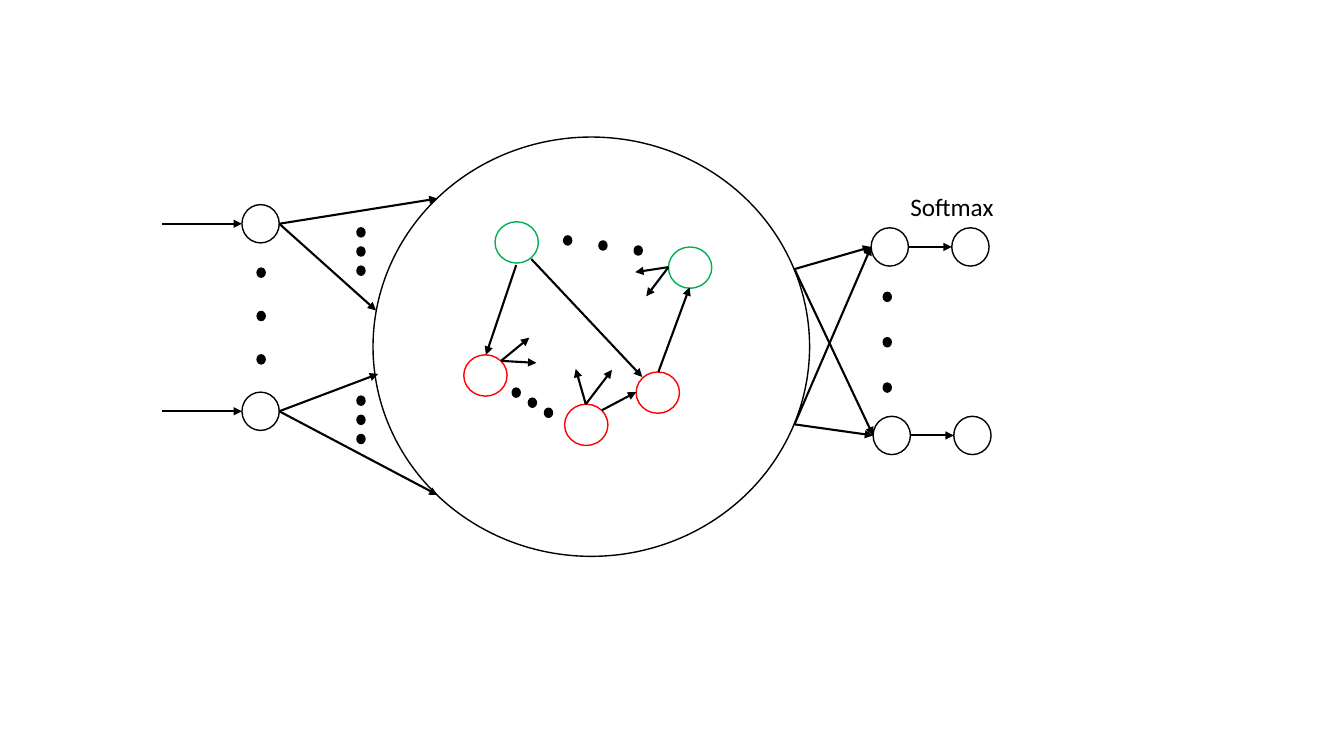
from lxml import etree
from pptx import Presentation
from pptx.dml.color import RGBColor
from pptx.enum.shapes import MSO_CONNECTOR, MSO_SHAPE
from pptx.enum.text import MSO_AUTO_SIZE
from pptx.oxml.ns import qn
from pptx.util import Pt

OVAL = MSO_SHAPE.OVAL
LINE = MSO_CONNECTOR.STRAIGHT
GROW = MSO_AUTO_SIZE.SHAPE_TO_FIT_TEXT
SCALE = 9144
BLACK, WHITE, RED, GREEN = "000000", "FFFFFF", "FF0000", "00B050"
LABEL = {"size": Pt(18), "name": "Calibri"}


def px(*nums):
    """Turn px lengths into EMU."""
    return [num * SCALE for num in nums]


def paint(part, color):
    """Give a fill or font colour format a hex colour."""
    part.rgb = RGBColor.from_string(color)


def oval(slide, box, x, y, wide, high, line=BLACK, fill=WHITE):
    """Draw an ellipse at an offset from the box corner."""
    shape = slide.shapes.add_shape(OVAL, *px(box[0] + x, box[1] + y, wide, high))
    shape.shadow.inherit = False
    shape.fill.solid()
    paint(shape.fill.fore_color, fill)
    paint(shape.line.color, line)
    shape.line.width = Pt(1)


def unit(slide, box, x, y):
    """Draw one input or output neuron."""
    oval(slide, box, x, y, 37, 38)


def dots(slide, box, x, y, right, down):
    """Draw three dots at equal steps."""
    for i in range(3):
        oval(slide, box, x + i * right, y + i * down, 8, 9, fill=BLACK)


def arrow(slide, box, start, end):
    """Draw an arrow between two offsets from the box corner."""
    x, y = box
    ends = px(x + start[0], y + start[1], x + end[0], y + end[1])
    link = slide.shapes.add_connector(LINE, *ends)
    paint(link.line.color, BLACK)
    link.line.width = Pt(1.5)
    etree.SubElement(link.line._get_or_add_ln(), qn("a:tailEnd"), type="triangle")
    etree.SubElement(link._element.spPr, qn("a:effectLst"))


def inputs(slide, box):
    """Draw the input neurons and their fans into the reservoir."""
    rows = [(25, 29, [(273, 0), (212, 111)]),
            (211, 196, [(214, 174), (273, 294)])]
    for mid, top, ends in rows:
        unit(slide, box, 79, mid - 19)
        arrow(slide, box, (0, mid), (79, mid))
        for end in ends:
            arrow(slide, box, (116, mid), end)
        dots(slide, box, 193, top, 0, 19)
    dots(slide, box, 94, 69, 0, 43)


def pool(slide, box):
    """Draw the reservoir with its linked inner neurons."""
    oval(slide, box, 0, 0, 433, 416)
    nodes = [(90, 216, RED), (261, 233, RED), (190, 265, RED),
             (293, 109, GREEN), (121, 84, GREEN)]
    for x, y, color in nodes:
        oval(slide, box, x, y, 43, 41, color)
    links = {
        (142, 127): [(112, 216)],
        (157, 121): [(267, 238)],
        (227, 271): [(261, 253)],
        (283, 233): [(314, 149)],
        (211, 265): [(237, 231), (201, 230)],
        (127, 222): [(162, 224), (155, 199)],
        (293, 129): [(260, 134), (271, 158)],
    }
    for start, ends in links.items():
        for end in ends:
            arrow(slide, box, start, end)
    dots(slide, box, 138, 249, 16, 10)
    dots(slide, box, 189, 98, 35, 5)


def outputs(slide, box):
    """Draw the output neurons, the softmax layer and its label."""
    for x, mid in [(76, 60), (78, 247)]:
        unit(slide, box, x, mid - 19)
        unit(slide, box, x + 80, mid - 19)
        arrow(slide, box, (x + 37, mid), (x + 80, mid))
        for y in (82, 236):
            arrow(slide, box, (0, y), (x, mid))
    dots(slide, box, 88, 105, 0, 45)
    text = slide.shapes.add_textbox(*px(box[0] + 105, box[1], 105, 40))
    frame = text.text_frame
    frame.word_wrap = True
    frame.auto_size = GROW
    frame.text = "Softmax"
    font = frame.paragraphs[0].runs[0].font
    for key, value in LABEL.items():
        setattr(font, key, value)
    paint(font.color, BLACK)


def main():
    """Build and save the network slide."""
    deck = Presentation()
    deck.slide_width, deck.slide_height = px(1333, 750)
    slide = deck.slides.add_slide(deck.slide_layouts[6])
    pool(slide, (370, 136))
    inputs(slide, (161, 197))
    outputs(slide, (788, 185))
    deck.save("out.pptx")


if __name__ == "__main__":
    main()
